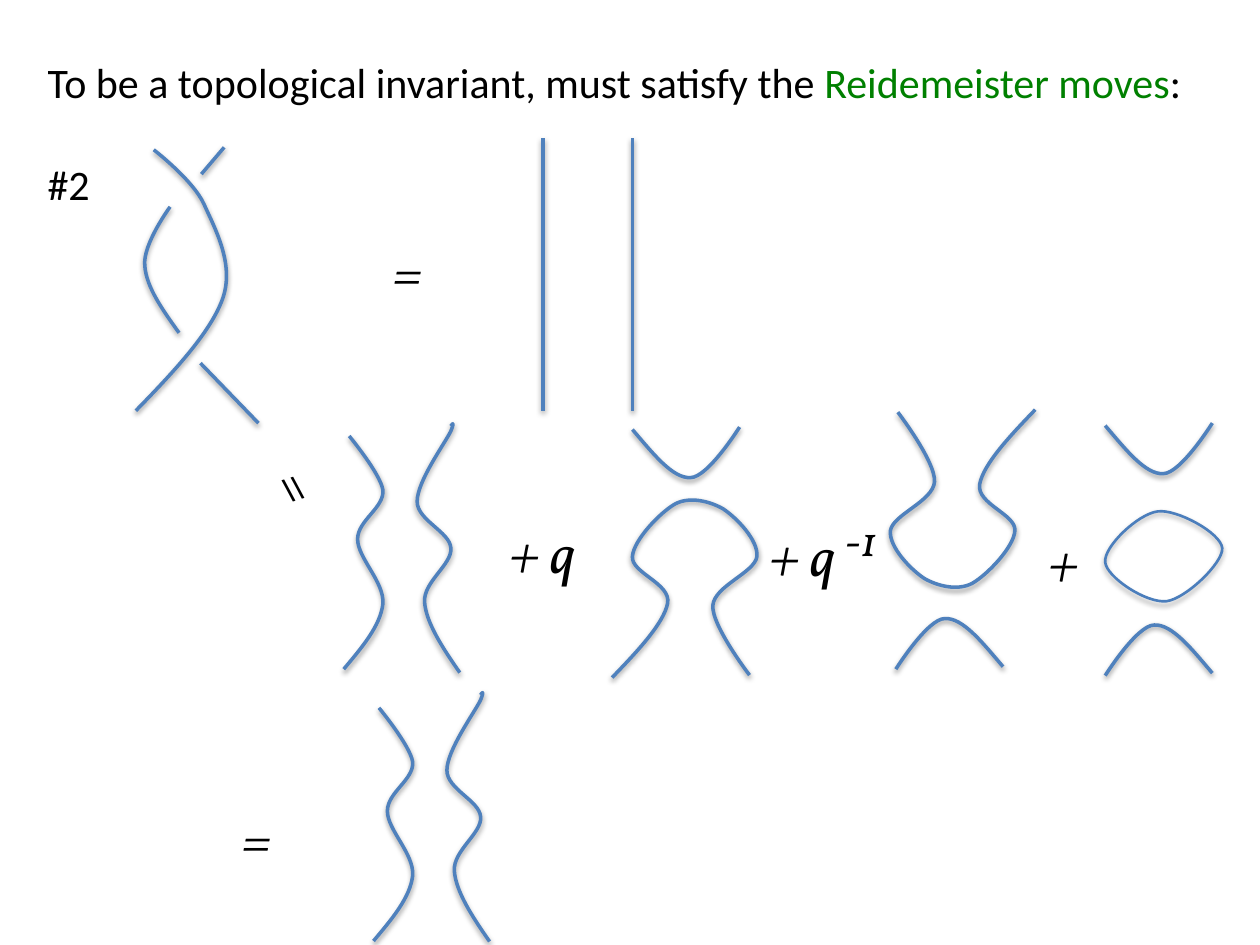
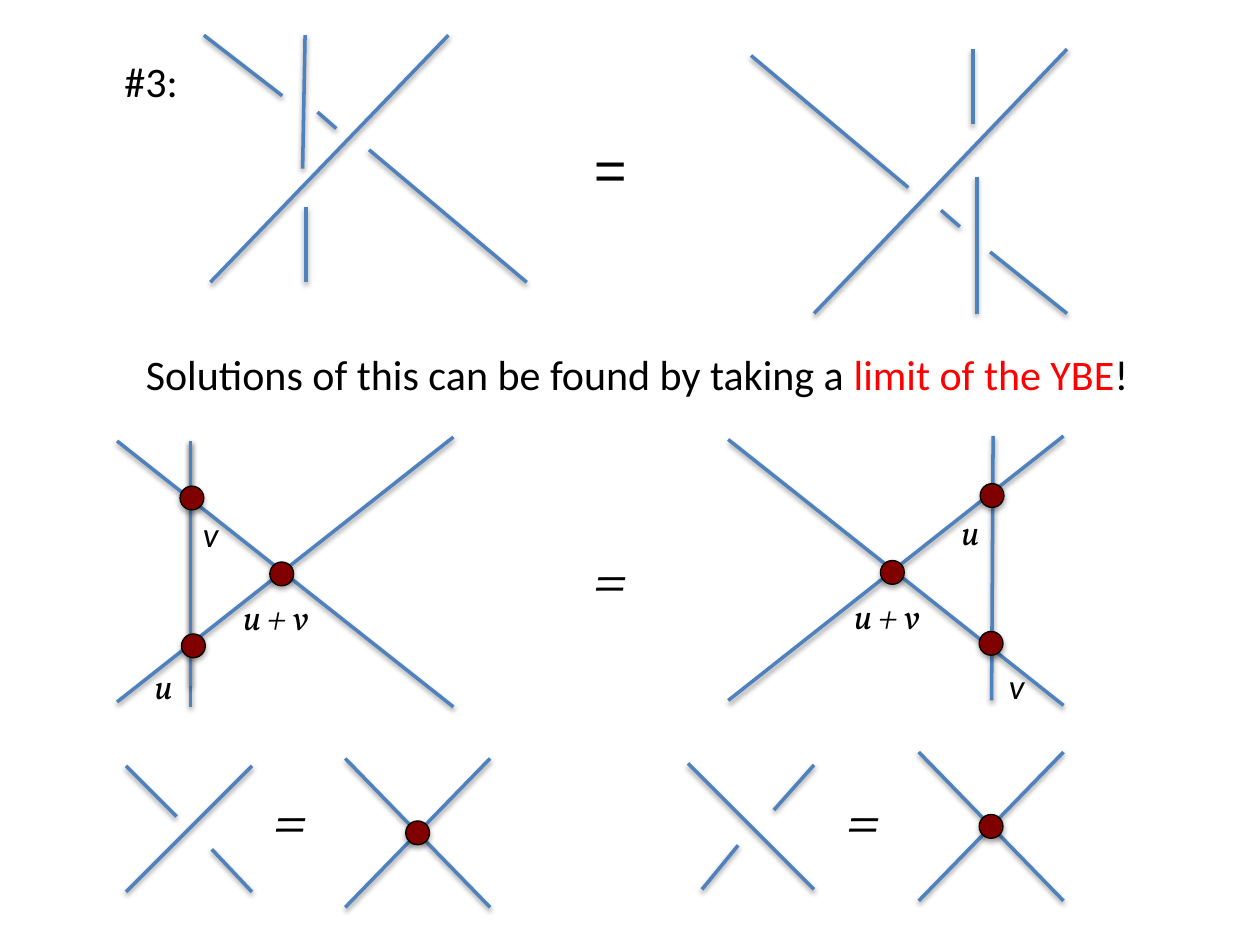
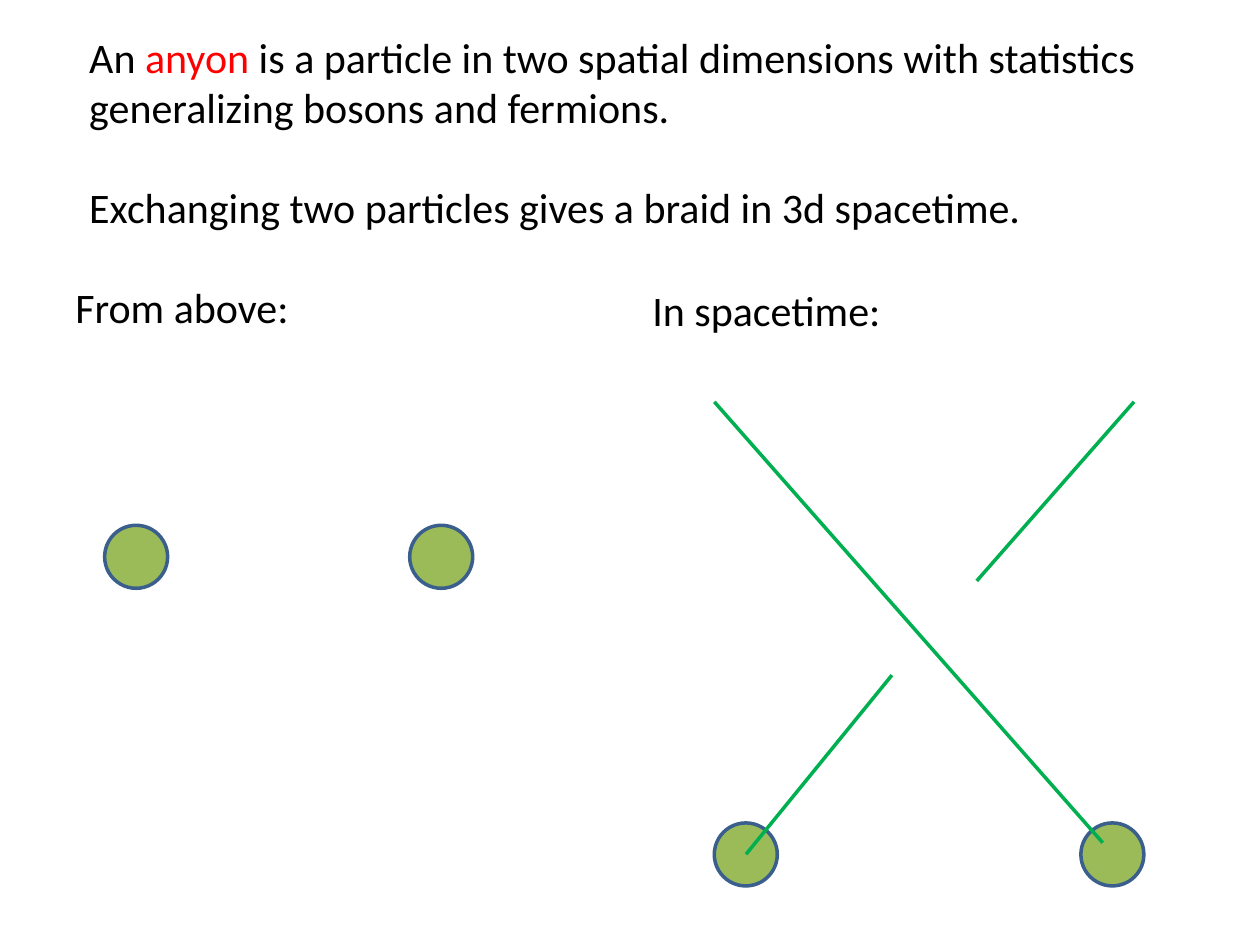
"""Build three slides on Reidemeister moves, the Yang-Baxter equation and anyons."""
from dataclasses import dataclass
from typing import NamedTuple

from lxml import etree
from pptx import Presentation
from pptx import util as u
from pptx.dml.color import RGBColor
from pptx.enum import shapes, text
from pptx.oxml import ns, xmlchemy

BLACK = RGBColor(0x00, 0x00, 0x00)
GREEN = RGBColor(0x00, 0x80, 0x00)
RED = RGBColor(0xFF, 0x00, 0x00)
STRAND_BLUE = RGBColor(0x4F, 0x81, 0xBD)
LOOP_BLUE = RGBColor(0x4B, 0x7E, 0xBC)
VERTEX_RED = RGBColor(0x80, 0x00, 0x00)
PARTICLE_GREEN = RGBColor(0x9B, 0xBB, 0x59)
PARTICLE_EDGE = RGBColor(0x3A, 0x5F, 0x8C)
WORLDLINE_GREEN = RGBColor(0x00, 0xB0, 0x50)

BODY, MATH = "Calibri", "Vollkorn"
VERTEX_SIZE, PARTICLE_SIZE = 0.48, 1.27
CROSS_WIDTH, CROSS_HEIGHT = 2.92, 3.0

Point = tuple[float, float]
Curve = list[Point]


class Run(NamedTuple):
    """A piece of text in one colour."""
    words: str
    colour: RGBColor = BLACK


class Shadow(NamedTuple):
    """A soft shadow falling straight down; lengths in points, opacity in percent."""
    opacity: int
    distance: float
    blur: float = 3.1


class Pen(NamedTuple):
    """The colour, width in points and shadow of a line."""
    colour: RGBColor
    width: float
    shadow: Shadow | None = None


class Segment(NamedTuple):
    """A straight line between two points, in centimetres."""
    x1: float
    y1: float
    x2: float
    y2: float


@dataclass
class Label:
    """A text box, in centimetres, with one list of runs for each paragraph."""
    left: float
    top: float
    width: float
    height: float
    paragraphs: list[list[Run]]
    size: int = 24
    font: str = BODY
    italic: bool = False
    wrap: bool = True
    rotation: float = 0
    gap: float = 0


@dataclass
class Disc:
    """A round marker, in centimetres."""
    left: float
    top: float
    size: float
    fill: RGBColor
    pen: Pen


STRAND = Pen(STRAND_BLUE, 2, Shadow(38, 1.6))
LOOP = Pen(LOOP_BLUE, 1.5, Shadow(35, 1.8))
VERTEX = Pen(BLACK, 0.75, Shadow(35, 1.8))
PARTICLE = Pen(PARTICLE_EDGE, 2)
WORLDLINE = Pen(WORLDLINE_GREEN, 2)

OVER_STRAND = [(2.74, 8.28), (3.51, 7.49), (4.27, 6.68), (4.5, 5.99), (4.72, 5.31),
               (4.34, 4.62), (4.11, 4.11), (3.89, 3.63), (3.1, 3.02), (3.1, 3.02)]
UNDER_STRAND = [(3.61, 6.71), (3.28, 6.25), (2.95, 5.79), (2.92, 5.36),
                (2.87, 4.93), (3.43, 4.17), (3.43, 4.17)]
LEFT_STRAND = [(6.93, 13.49), (7.29, 13.06), (7.67, 12.62), (7.72, 12.17), (7.75, 11.73),
               (7.21, 11.25), (7.21, 10.87), (7.21, 10.49), (7.75, 10.24), (7.72, 9.88),
               (7.67, 9.55), (7.04, 8.79), (7.04, 8.79)]
RIGHT_STRAND = [(9.27, 13.56), (8.92, 13.06), (8.59, 12.55), (8.56, 12.14), (8.53, 11.73),
                (9.12, 11.38), (9.09, 11.05), (9.07, 10.72), (8.41, 10.49), (8.41, 10.11),
                (8.41, 9.7), (8.97, 8.94), (9.09, 8.69), (9.19, 8.43), (9.09, 8.59),
                (9.09, 8.59)]
CUP = [(0, 0.05), (0.41, 0.53), (0.81, 1.04), (1.17, 1.02), (1.52, 1.02), (2.16, 0),
       (2.16, 0)]
OMEGA = [(0, 3.58), (0.51, 3.05), (1.04, 2.49), (1.12, 2.08), (1.19, 1.68), (0.38, 1.47),
         (0.41, 1.14), (0.43, 0.81), (0.97, 0.25), (1.27, 0.08), (1.57, -0.08),
         (1.98, 0.03), (2.24, 0.18), (2.51, 0.36), (2.95, 0.81), (2.92, 1.14),
         (2.87, 1.47), (2.06, 1.73), (2.03, 2.13), (2.01, 2.54), (2.77, 3.53),
         (2.77, 3.53)]
CLOSED_LOOP = [(23.34, 10.31), (23.72, 10.26), (24.61, 10.74), (24.64, 11.05),
               (24.66, 11.35), (23.9, 12.07), (23.52, 12.12), (23.11, 12.17),
               (22.3, 11.63), (22.28, 11.33), (22.25, 11.02), (22.94, 10.36),
               (23.34, 10.31)]


def turned(curve: Curve, width: float, height: float) -> Curve:
    """Turn a curve by half a turn inside its frame."""
    return [(width - x, height - y) for x, y in curve]


CAP = turned(CUP, 2.16, 1.02)
TURNED_OMEGA = turned(OMEGA, 2.92, 3.58)


def apply_pen(shape, pen: Pen) -> None:
    """Set the line of a shape or connector and its shadow."""
    shape.line.color.rgb = pen.colour
    shape.line.width = u.Pt(pen.width)
    properties = shape.element.spPr
    effects = properties.find(ns.qn("a:effectLst"))
    if effects is None:
        effects = etree.SubElement(properties, ns.qn("a:effectLst"))
    if pen.shadow:
        outer = etree.SubElement(effects, ns.qn("a:outerShdw"), {
            "blurRad": str(u.Pt(pen.shadow.blur)), "dist": str(u.Pt(pen.shadow.distance)),
            "dir": "5400000", "rotWithShape": "0"})
        colour = etree.SubElement(outer, ns.qn("a:srgbClr"), val=str(BLACK))
        etree.SubElement(colour, ns.qn("a:alpha"), val=str(pen.shadow.opacity * 1000))


def draw_segments(slide, segments: list[Segment], pen: Pen = STRAND) -> None:
    """Draw straight lines."""
    for segment in segments:
        connector = slide.shapes.add_connector(
            shapes.MSO_CONNECTOR.STRAIGHT, *(u.Cm(value) for value in segment))
        apply_pen(connector, pen)


def draw_curve(slide, curve: Curve, left: float = 0, top: float = 0,
               pen: Pen = STRAND, closed: bool = False) -> None:
    """Draw a chain of cubic curves from a start and triples of control points."""
    start, *controls = [(u.Cm(left + x), u.Cm(top + y)) for x, y in curve]
    builder = slide.shapes.build_freeform(*start)
    builder.add_line_segments(controls, close=closed)
    shape = builder.convert_to_shape()
    lines = list(shape.element.iter(ns.qn("a:lnTo")))
    for index in range(0, len(controls), 3):
        bend = etree.Element(ns.qn("a:cubicBezTo"))
        lines[index].addprevious(bend)
        for line in lines[index:index + 3]:
            bend.append(line[0])
            line.getparent().remove(line)
    shape.fill.background()
    shape.shadow.inherit = False
    apply_pen(shape, pen)


def draw_discs(slide, discs: list[Disc]) -> None:
    """Draw round markers."""
    for disc in discs:
        shape = slide.shapes.add_shape(
            shapes.MSO_SHAPE.OVAL, u.Cm(disc.left), u.Cm(disc.top),
            u.Cm(disc.size), u.Cm(disc.size))
        shape.fill.solid()
        shape.fill.fore_color.rgb = disc.fill
        shape.shadow.inherit = False
        apply_pen(shape, disc.pen)


def draw_labels(slide, labels: list[Label]) -> None:
    """Write text boxes."""
    for label in labels:
        box = slide.shapes.add_textbox(
            u.Cm(label.left), u.Cm(label.top), u.Cm(label.width), u.Cm(label.height))
        box.rotation = label.rotation
        frame = box.text_frame
        frame.word_wrap = label.wrap
        frame.auto_size = text.MSO_AUTO_SIZE.SHAPE_TO_FIT_TEXT
        style = {"name": label.font, "size": u.Pt(label.size), "italic": label.italic}
        for index, runs in enumerate(label.paragraphs):
            paragraph = frame.add_paragraph() if index else frame.paragraphs[0]
            if index and label.gap:
                paragraph.space_before = u.Pt(label.gap)
            for words, colour in runs:
                run = paragraph.add_run()
                run.text = words
                run.font.color.rgb = colour
                for name, value in style.items():
                    setattr(run.font, name, value)


def formula(words: str, left: float, top: float, width: float, height: float,
            size: int, font: str = MATH, **options) -> Label:
    """Describe an italic mathematical label."""
    return Label(left, top, width, height, [[Run(words)]], size, font, True, **options)


def vertex(left: float, top: float) -> Disc:
    """Describe a dark red vertex."""
    return Disc(left, top, VERTEX_SIZE, VERTEX_RED, VERTEX)


def draw_vertex_cross(slide, left: float, top: float) -> None:
    """Draw two crossing lines with a vertex in the middle."""
    right, bottom = left + CROSS_WIDTH, top + CROSS_HEIGHT
    draw_segments(slide, [Segment(left, top, right, bottom),
                          Segment(left, bottom, right, top)])
    draw_discs(slide, [vertex(left + (CROSS_WIDTH - VERTEX_SIZE) / 2,
                              top + (CROSS_HEIGHT - VERTEX_SIZE) / 2)])


def build_second_move(slide) -> None:
    """Show the second Reidemeister move and its expansion."""
    draw_segments(slide, [
        Segment(5.21, 8.53, 4.04, 7.32), Segment(4.06, 3.51, 4.52, 2.97),
        *(Segment(x, 2.79, x, 8.28) for x in (12.75, 10.95))])
    for curve, left, top in [
            (OVER_STRAND, 0, 0), (UNDER_STRAND, 0, 0),
            (LEFT_STRAND, 0, 0), (RIGHT_STRAND, 0, 0),
            (LEFT_STRAND, 0.6, 5.48), (RIGHT_STRAND, 0.6, 5.42),
            (OMEGA, 12.34, 10.08), (CUP, 12.75, 8.61),
            (TURNED_OMEGA, 17.95, 8.26), (CAP, 18.06, 12.47),
            (CAP, 22.28, 12.6), (CUP, 22.28, 8.53)]:
        draw_curve(slide, curve, left, top)
    draw_curve(slide, CLOSED_LOOP, pen=LOOP, closed=True)
    draw_labels(slide, [
        Label(0.71, 1.02, 23.77, 3.33, [
            [Run("To be a topological invariant, must satisfy the "),
             Run("Reidemeister moves", GREEN), Run(":")],
            [Run("#2")]], wrap=False, gap=29.3),
        formula("=", 7.67, 4.65, 1.57, 1.63, 32),
        formula("=", 5.36, 9.17, 1.57, 1.63, 32, rotation=61.9),
        formula("+ q", 10.03, 10.31, 2.16, 1.63, 32),
        formula("+ q", 15.27, 10.36, 2.16, 1.63, 32),
        formula("-1", 16.79, 10.24, 1.27, 1.27, 24, wrap=False),
        formula("+", 20.88, 10.49, 1.02, 1.63, 32),
        formula("=", 4.62, 16.08, 1.57, 1.63, 32)])


def build_third_move(slide) -> None:
    """Show the third Reidemeister move beside the Yang-Baxter equation."""
    move_left = [
        Segment(4.24, 5.69, 9.04, 0.71), Segment(6.15, 0.71, 6.1, 3.4),
        Segment(6.17, 4.17, 6.17, 5.69), Segment(4.11, 0.71, 5.69, 1.93),
        Segment(6.4, 2.26, 6.78, 2.59), Segment(7.44, 3.02, 10.62, 5.69)]
    move_right = [
        Segment(16.41, 6.32, 21.51, 0.99), Segment(19.69, 3.56, 19.69, 6.32),
        Segment(19.61, 0.99, 19.61, 2.51), Segment(15.14, 1.12, 18.31, 3.78),
        Segment(18.97, 4.24, 19.35, 4.57), Segment(19.96, 5.08, 21.51, 6.32)]
    equation_left = [
        Segment(3.84, 8.89, 3.84, 14.25), Segment(2.36, 8.89, 9.14, 14.25),
        Segment(9.14, 8.81, 2.36, 14.15), Segment(3.84, 8.89, 3.84, 13.82)]
    equation_right = [
        Segment(14.68, 8.86, 21.44, 14.22), Segment(21.44, 8.79, 14.68, 14.12),
        Segment(20.02, 8.79, 19.99, 14.12)]
    over_crossing = [
        Segment(2.54, 17.98, 5.08, 15.44), Segment(2.54, 15.44, 3.56, 16.46),
        Segment(4.27, 17.12, 5.08, 17.98)]
    under_crossing = [
        Segment(16.41, 17.93, 13.87, 15.39), Segment(14.15, 17.93, 14.88, 17.04),
        Segment(15.6, 16.33, 16.41, 15.42)]
    for segments in (move_left, move_right, equation_left, equation_right,
                     over_crossing, under_crossing):
        draw_segments(slide, segments)
    draw_discs(slide, [vertex(left, top) for left, top in [
        (3.63, 9.8), (5.44, 11.33), (3.66, 12.78),
        (19.76, 9.75), (17.75, 11.3), (19.74, 12.73)]])
    draw_vertex_cross(slide, 6.96, 15.29)
    draw_vertex_cross(slide, 18.52, 15.16)
    draw_labels(slide, [
        Label(2.26, 0.99, 1.8, 1.27, [[Run("#3:")]]),
        formula("=", 11.71, 2.59, 1.8, 1.63, 32, "Arial"),
        Label(2.69, 6.91, 20.5, 1.27, [
            [Run("Solutions of this can be found by taking a "),
             Run("limit of the YBE", RED), Run("!")]], wrap=False),
        formula("u", 2.87, 13.28, 0.99, 1.12, 20),
        formula("v", 3.84, 10.21, 0.99, 1.12, 20, BODY),
        formula("u + v", 4.65, 11.89, 2.18, 1.12, 20),
        formula("u", 19.13, 10.16, 0.99, 1.12, 20),
        formula("v", 20.09, 13.28, 0.99, 1.12, 20, BODY),
        formula("u + v", 16.97, 11.86, 2.44, 1.12, 20),
        *(formula("=", left, top, 1.52, 1.8, 36, wrap=False)
          for left, top in [(11.71, 10.72), (5.26, 15.57), (16.81, 15.57)])])


def build_anyons(slide) -> None:
    """Show two anyons from above and their braid in spacetime."""
    draw_discs(slide, [
        Disc(left, top, PARTICLE_SIZE, PARTICLE_GREEN, PARTICLE)
        for left, top in [(2.11, 10.59), (8.26, 10.59), (14.4, 16.59), (21.79, 16.59)]])
    draw_segments(slide, [
        Segment(15.04, 17.22, 17.98, 13.61), Segment(22.23, 16.99, 14.4, 8.1),
        Segment(19.69, 11.71, 22.86, 8.1)], WORLDLINE)
    draw_labels(slide, [
        Label(1.55, 0.51, 21.89, 2.31, [
            [Run("An "), Run("anyon", RED),
             Run(" is a particle in two spatial dimensions with statistics")],
            [Run("generalizing bosons and fermions.")]], wrap=False),
        Label(1.55, 3.53, 19.53, 1.27, [
            [Run("Exchanging two particles gives a braid in 3d spacetime.")]], wrap=False),
        Label(1.27, 5.56, 11.23, 1.47, [[Run("From above:")]]),
        Label(12.9, 5.61, 11.23, 1.27, [[Run("In spacetime:")]])])


def main() -> None:
    """Build and save the presentation."""
    presentation = Presentation()
    presentation.slide_width, presentation.slide_height = u.Cm(25.4), u.Cm(19.05)
    blank = presentation.slide_layouts[6]
    for build in (build_second_move, build_third_move, build_anyons):
        build(presentation.slides.add_slide(blank))
    presentation.save("out.pptx")


if __name__ == "__main__":
    main()
